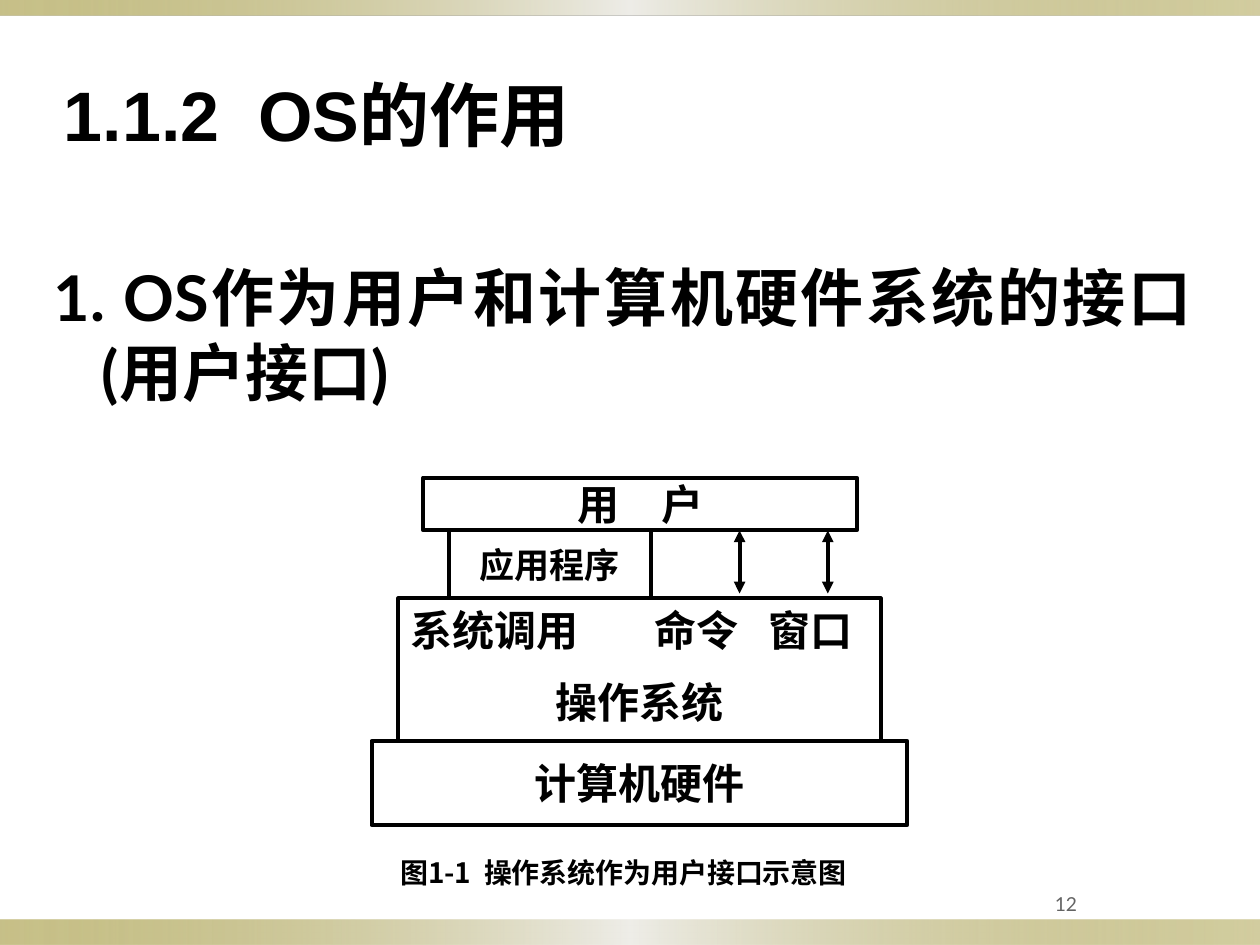
from lxml import etree
from pptx import Presentation
from pptx.dml.color import RGBColor
from pptx.enum.shapes import MSO_CONNECTOR, MSO_SHAPE
from pptx.enum.text import MSO_ANCHOR, PP_ALIGN
from pptx.oxml.ns import qn
from pptx.util import Inches, Pt

RECTANGLE = MSO_SHAPE.RECTANGLE
STRAIGHT = MSO_CONNECTOR.STRAIGHT
TOP, MIDDLE = MSO_ANCHOR.TOP, MSO_ANCHOR.MIDDLE
LEFT, CENTER, JUSTIFY = PP_ALIGN.LEFT, PP_ALIGN.CENTER, PP_ALIGN.JUSTIFY
COLORS = {"ink": "000000", "number": "636363", "olive": "918415", "pale": "EEEDE8"}
BAND_STOPS = [(0, "olive", 50), (50, "pale", 100), (100, "olive", 40)]
LINE_WIDTH = Pt(2.25)


def color(name):
    """Return a named colour."""
    return RGBColor.from_string(COLORS[name])


def add_band(page, top, height):
    """Draw a translucent gradient band across the page."""
    band = page.shapes.add_shape(RECTANGLE, 0, Inches(top), Inches(10), Inches(height))
    band.shadow.inherit = False
    band.line.fill.background()
    band.fill.gradient()
    band.fill.gradient_angle = 0
    stops = band._element.spPr.find(".//" + qn("a:gsLst"))
    for stop in list(stops):
        stops.remove(stop)
    for position, name, opacity in BAND_STOPS:
        stop = etree.SubElement(stops, qn("a:gs"), pos=str(position * 1000))
        tint = etree.SubElement(stop, qn("a:srgbClr"), val=COLORS[name])
        etree.SubElement(tint, qn("a:alpha"), val=str(opacity * 1000))


def write(box, lines, size, font="Times New Roman", align=CENTER, anchor=TOP,
          wrap=True, ink="ink", bold=True):
    """Fill a box with one paragraph per line and return the paragraphs."""
    frame = box.text_frame
    frame.word_wrap = wrap
    frame.vertical_anchor = anchor
    for index, line in enumerate(lines):
        para = frame.add_paragraph() if index else frame.paragraphs[0]
        para.alignment = align
        para.space_before = Pt(size / 2)
        span = para.add_run()
        span.text = line
        span.font.size = Pt(size)
        span.font.name = font
        span.font.bold = bold
        span.font.color.rgb = color(ink)
    return frame.paragraphs


def add_text(shapes, left, top, width, height, line, size, **style):
    """Place a one-paragraph text box and return its paragraph."""
    box = shapes.add_textbox(Inches(left), Inches(top), Inches(width), Inches(height))
    return write(box, [line], size, **style)[0]


def add_layer(shapes, left, top, width, height):
    """Draw an outlined, unfilled layer of the diagram."""
    layer = shapes.add_shape(RECTANGLE, Inches(left), Inches(top), Inches(width), Inches(height))
    layer.shadow.inherit = False
    layer.fill.background()
    layer.line.color.rgb = color("ink")
    layer.line.width = LINE_WIDTH
    return layer


def add_double_arrow(shapes, x, top, bottom):
    """Draw a vertical line with an arrowhead at each end."""
    arrow = shapes.add_connector(STRAIGHT, Inches(x), Inches(top), Inches(x), Inches(bottom))
    arrow.line.color.rgb = color("ink")
    arrow.line.width = LINE_WIDTH
    for end in ("a:headEnd", "a:tailEnd"):
        etree.SubElement(arrow.line._ln, qn(end), type="triangle")
    etree.SubElement(arrow._element.spPr, qn("a:effectLst"))


def set_tabs(para, positions):
    """Give a paragraph left tab stops."""
    tabs = etree.SubElement(para._p.get_or_add_pPr(), qn("a:tabLst"))
    for position in positions:
        etree.SubElement(tabs, qn("a:tab"), pos=str(Inches(position)), algn="l")


def add_diagram(page, left, top):
    """Stack the layers from user to hardware, with a caption below."""
    shapes = page.shapes.add_group_shape().shapes
    user = add_layer(shapes, left + 0.41, top, 3.44, 0.42)
    write(user, ["用　户"], 24, anchor=MIDDLE, wrap=False)

    system = add_layer(shapes, left + 0.21, top + 0.96, 3.83, 1.13)
    calls, name = write(system, ["系统调用\t命令\t窗口", "操作系统"], 24)
    calls.alignment = LEFT
    set_tabs(calls, [1.94, 2.84])

    program = add_layer(shapes, left + 0.61, top + 0.42, 1.61, 0.54)
    program.text_frame.margin_left = program.text_frame.margin_right = Inches(0.02)
    write(program, ["应用程序"], 20, anchor=MIDDLE, wrap=False)

    for x in (2.92, 3.62):
        add_double_arrow(shapes, left + x, top + 0.42, top + 0.92)

    hardware = add_layer(shapes, left, top + 2.09, 4.25, 0.67)
    write(hardware, ["计算机硬件"], 24, anchor=MIDDLE, wrap=False)
    add_text(shapes, left, top + 2.95, 4, 0.37, "图1-1  操作系统作为用户接口示意图", 16,
             font="Noto Sans CJK SC")


def add_heading(page, left, top):
    """Place the section title and the topic under it."""
    add_text(page.shapes, left + 0.08, top, 6.83, 0.77, "1.1.2  OS的作用", 40,
             font="Arial", align=LEFT)
    topic = add_text(page.shapes, left, top + 1.48, 9.23, 2,
                     "1. OS作为用户和计算机硬件系统的接口(用户接口)", 36,
                     font="Lato", align=JUSTIFY)
    properties = topic._p.get_or_add_pPr()
    properties.set("marL", str(Inches(0.38)))
    properties.set("indent", str(-Inches(0.38)))


def main():
    """Build the slide and save the deck."""
    deck = Presentation()
    deck.slide_width, deck.slide_height = Inches(10), Inches(7.5)
    page = deck.slides.add_slide(deck.slide_layouts[6])
    add_band(page, 7.3, 0.2)
    add_band(page, 0, 0.12)
    add_heading(page, 0.33, 0.52)
    add_text(page.shapes, 7.42, 6.92, 2.08, 0.5, "12", 11, font="Lato",
             anchor=MIDDLE, ink="number", bold=False)
    add_diagram(page, 2.95, 3.79)
    deck.save("out.pptx")


if __name__ == "__main__":
    main()
